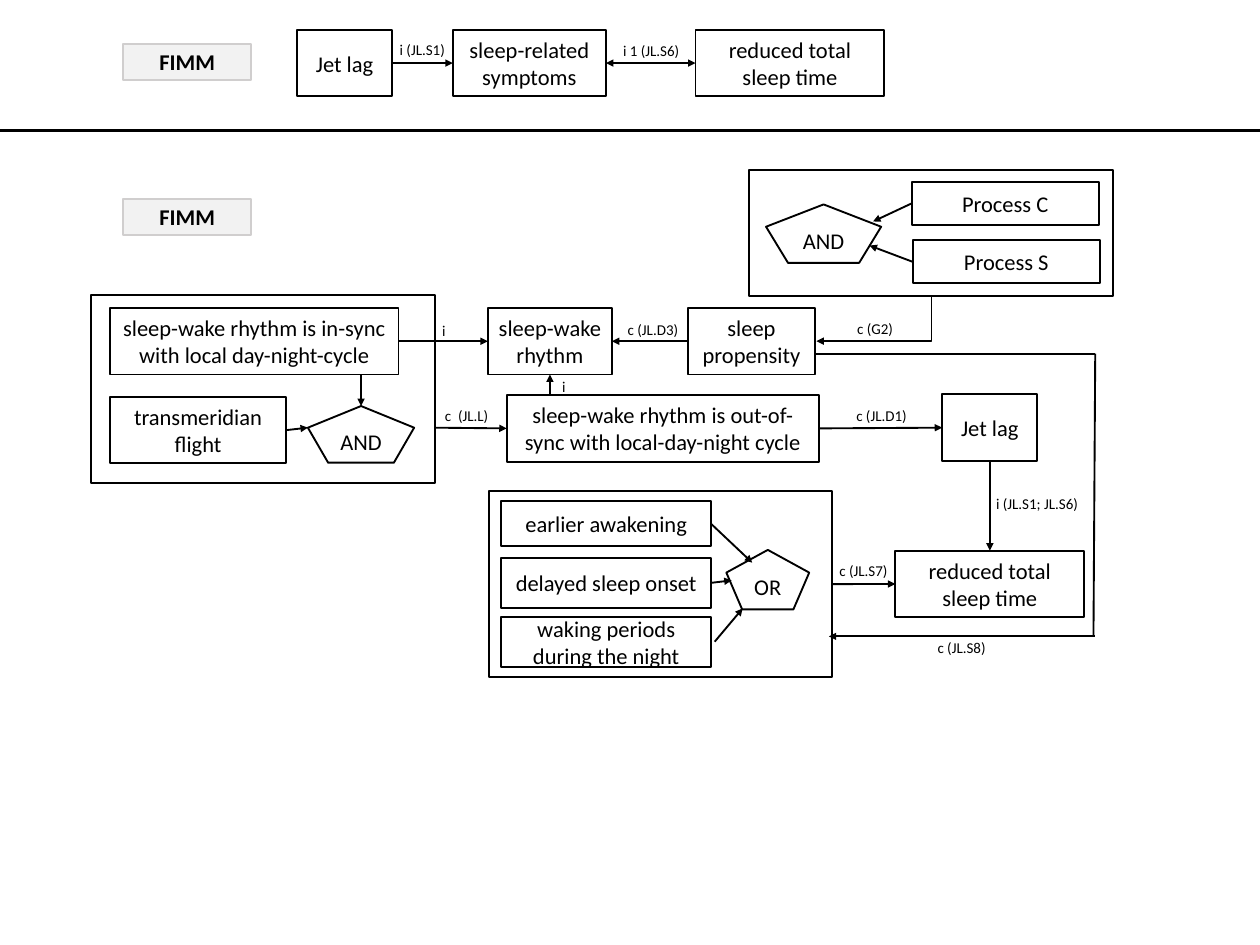
from pptx import Presentation
from pptx.enum.shapes import MSO_CONNECTOR, MSO_SHAPE
from pptx.enum.text import MSO_ANCHOR, MSO_AUTO_SIZE, PP_ALIGN
from pptx.dml.color import RGBColor
from pptx.oxml.ns import qn
from pptx.shapes.autoshape import Shape
from pptx.util import Cm, Pt
from lxml import etree

RECTANGLE = MSO_SHAPE.RECTANGLE
PENTAGON = MSO_SHAPE.REGULAR_PENTAGON
STRAIGHT = MSO_CONNECTOR.STRAIGHT
ELBOW = MSO_CONNECTOR.ELBOW
MIDDLE = MSO_ANCHOR.MIDDLE
CENTER = PP_ALIGN.CENTER
GROW = MSO_AUTO_SIZE.SHAPE_TO_FIT_TEXT
TOP, LEFT, BOTTOM, RIGHT = range(4)
BLACK, WHITE, PALE, GRAY = "000000", "FFFFFF", "F2F2F2", "D0CECE"
ROW = 1.88


def color(value):
    """Turn a hex string into a colour."""
    return RGBColor.from_string(value)


def write(shape, text, size, bold=False):
    """Put one centred run of text in a shape."""
    shape.text_frame.word_wrap = True
    paragraph = shape.text_frame.paragraphs[0]
    paragraph.alignment = CENTER
    run = paragraph.add_run()
    run.text = text
    run.font.name = "Calibri"
    run.font.size = Pt(size)
    run.font.bold = bold
    run.font.color.rgb = color(BLACK)


def add_node(slide, text, left, top, width, height=ROW, kind=RECTANGLE,
             fill=WHITE, line=BLACK, weight=1.5, bold=False):
    """Add an outlined shape, with text if there is any."""
    shape = slide.shapes.add_shape(kind, Cm(left), Cm(top), Cm(width), Cm(height))
    shape.shadow.inherit = False
    if fill:
        shape.fill.solid()
        shape.fill.fore_color.rgb = color(fill)
    else:
        shape.fill.background()
    shape.line.color.rgb = color(line)
    shape.line.width = Pt(weight)
    if text:
        shape.text_frame.vertical_anchor = MIDDLE
        write(shape, text, 18, bold)
    return shape


def add_label(slide, text, left, top):
    """Add a small caption beside an arrow."""
    box = slide.shapes.add_textbox(Cm(left), Cm(top), Cm(2.92), Cm(0.76))
    write(box, text, 12)
    box.text_frame.auto_size = GROW


def style_connector(connector, ends):
    """Give a connector its line, its arrowheads and no shadow."""
    connector.line.color.rgb = color(BLACK)
    connector.line.width = Pt(1.5)
    properties = connector._element.spPr
    outline = properties.find(qn("a:ln"))
    for end in ends:
        etree.SubElement(outline, qn(f"a:{end}End")).set("type", "triangle")
    etree.SubElement(properties, qn("a:effectLst"))


def add_arrow(slide, begin, end, ends=("tail",)):
    """Join two ends, each a point or a shape with one of its sides."""
    connector = slide.shapes.add_connector(STRAIGHT, 0, 0, 0, 0)
    if isinstance(begin[0], Shape):
        connector.begin_connect(*begin)
    else:
        connector.begin_x, connector.begin_y = Cm(begin[0]), Cm(begin[1])
    if isinstance(end[0], Shape):
        connector.end_connect(*end)
    else:
        connector.end_x, connector.end_y = Cm(end[0]), Cm(end[1])
    style_connector(connector, ends)


def add_corner_arrow(slide, left, top, width, height):
    """Add an arrow that goes down and then left, as a quarter-turned corner."""
    connector = slide.shapes.add_connector(
        ELBOW, Cm(left), Cm(top), Cm(left + width), Cm(top + height))
    properties = connector._element.spPr
    properties.find(qn("a:prstGeom")).set("prst", "bentConnector2")
    properties.find(qn("a:xfrm")).set("rot", "5400000")
    style_connector(connector, ("tail",))


def add_summary(slide):
    """Build the short chain in the band at the top."""
    add_node(slide, "", -0.56, -0.2, 37.64, 3.89, fill=None, weight=2.25)
    jet_lag = add_node(slide, "Jet lag", 8.38, 0.84, 2.69)
    symptoms = add_node(slide, "sleep-related symptoms", 12.78, 0.84, 4.32)
    reduced = add_node(slide, "reduced total sleep time", 19.63, 0.84, 5.33)
    add_arrow(slide, (jet_lag, RIGHT), (symptoms, LEFT))
    add_arrow(slide, (symptoms, RIGHT), (reduced, LEFT), ("head", "tail"))


def add_processes(slide):
    """Build the frame with the two sleep processes."""
    add_node(slide, "", 21.13, 4.8, 10.29, 3.56, fill=None)
    add_node(slide, "AND", 21.62, 5.77, 3.25, 1.65, PENTAGON, None)
    process_c = add_node(slide, "Process C", 25.73, 5.13, 5.28, 1.22)
    process_s = add_node(slide, "Process S", 25.76, 6.78, 5.28, 1.22)
    add_arrow(slide, (process_c, LEFT), (24.64, 6.25))
    add_arrow(slide, (process_s, LEFT), (24.54, 6.93))
    add_corner_arrow(slide, 24.03, 7.37, 1.27, 3.25)


def add_rhythm(slide):
    """Build the causes of jet lag and return the jet lag box."""
    add_node(slide, "", 2.57, 8.33, 9.7, 5.31)
    both = add_node(slide, "AND", 8.69, 11.46, 3, 1.6, PENTAGON)
    in_sync = add_node(slide, "sleep-wake rhythm is in-sync with local day-night-cycle",
                       3.1, 8.69, 8.15)
    flight = add_node(slide, "transmeridian flight", 3.1, 11.2, 4.98)
    rhythm = add_node(slide, "sleep-wake rhythm", 13.77, 8.69, 3.5)
    propensity = add_node(slide, "sleep propensity", 19.41, 8.69, 3.6)
    out_of_sync = add_node(
        slide, "sleep-wake rhythm is out-of-sync with local-day-night cycle",
        14.3, 11.15, 8.81)
    jet_lag = add_node(slide, "Jet lag", 26.59, 11.13, 2.69)
    for begin, end in (
        ((in_sync, RIGHT), (rhythm, LEFT)),
        ((propensity, LEFT), (rhythm, RIGHT)),
        ((10.19, 10.57), (both, TOP)),
        ((flight, RIGHT), (8.69, 12.07)),
        ((12.27, 12.07), (out_of_sync, LEFT)),
        ((15.52, 11.15), (rhythm, BOTTOM)),
        ((out_of_sync, RIGHT), (jet_lag, LEFT)),
    ):
        add_arrow(slide, begin, end)
    return jet_lag


def add_sleep_loss(slide, jet_lag):
    """Build the kinds of sleep loss and the loop back to them."""
    frame = add_node(slide, "", 13.79, 13.87, 9.7, 5.23)
    add_node(slide, "OR", 20.5, 15.52, 2.34, 1.68, PENTAGON)
    earlier = add_node(slide, "earlier awakening", 14.15, 14.15, 5.92, 1.27)
    delayed = add_node(slide, "delayed sleep onset", 14.15, 15.75, 5.92, 1.4)
    add_node(slide, "waking periods during the night", 14.15, 17.42, 5.92, 1.4)
    reduced = add_node(slide, "reduced total sleep time", 25.27, 15.54, 5.33)
    add_arrow(slide, (earlier, RIGHT), (21.23, 15.88))
    add_arrow(slide, (delayed, RIGHT), (20.65, 16.38))
    add_arrow(slide, (20.17, 18.11), (20.96, 17.17))
    add_arrow(slide, (frame, RIGHT), (reduced, LEFT))
    add_arrow(slide, (jet_lag, BOTTOM), (reduced, TOP))
    add_arrow(slide, (23.04, 9.98), (30.89, 9.98), ())
    add_arrow(slide, (30.86, 17.96), (30.91, 9.98), ())
    add_arrow(slide, (23.39, 17.96), (30.89, 17.96), ("head",))


def main():
    """Build and save the slide."""
    presentation = Presentation()
    presentation.slide_width = Cm(35.56)
    presentation.slide_height = Cm(26.67)
    slide = presentation.slides.add_slide(presentation.slide_layouts[6])
    add_summary(slide)
    add_processes(slide)
    jet_lag = add_rhythm(slide)
    add_sleep_loss(slide, jet_lag)
    for text, left, top in (
        ("i (JL.S1)", 10.46, 1.02), ("i 1 (JL.S6)", 16.92, 1.04),
        ("i", 11.07, 8.94), ("c (JL.D3)", 16.97, 8.92), ("c (G2)", 23.24, 8.89),
        ("i", 14.45, 10.52), ("c  (JL.L)", 11.71, 11.35), ("c (JL.D1)", 23.42, 11.35),
        ("i (JL.S1; JL.S6)", 27.81, 13.82), ("c (JL.S7)", 22.91, 15.72),
        ("c (JL.S8)", 25.68, 17.91),
    ):
        add_label(slide, text, left, top)
    for top in (1.24, 5.61):
        add_node(slide, "FIMM", 3.48, top, 3.61, 1.02, fill=PALE, line=GRAY, bold=True)
    presentation.save("out.pptx")


if __name__ == "__main__":
    main()
